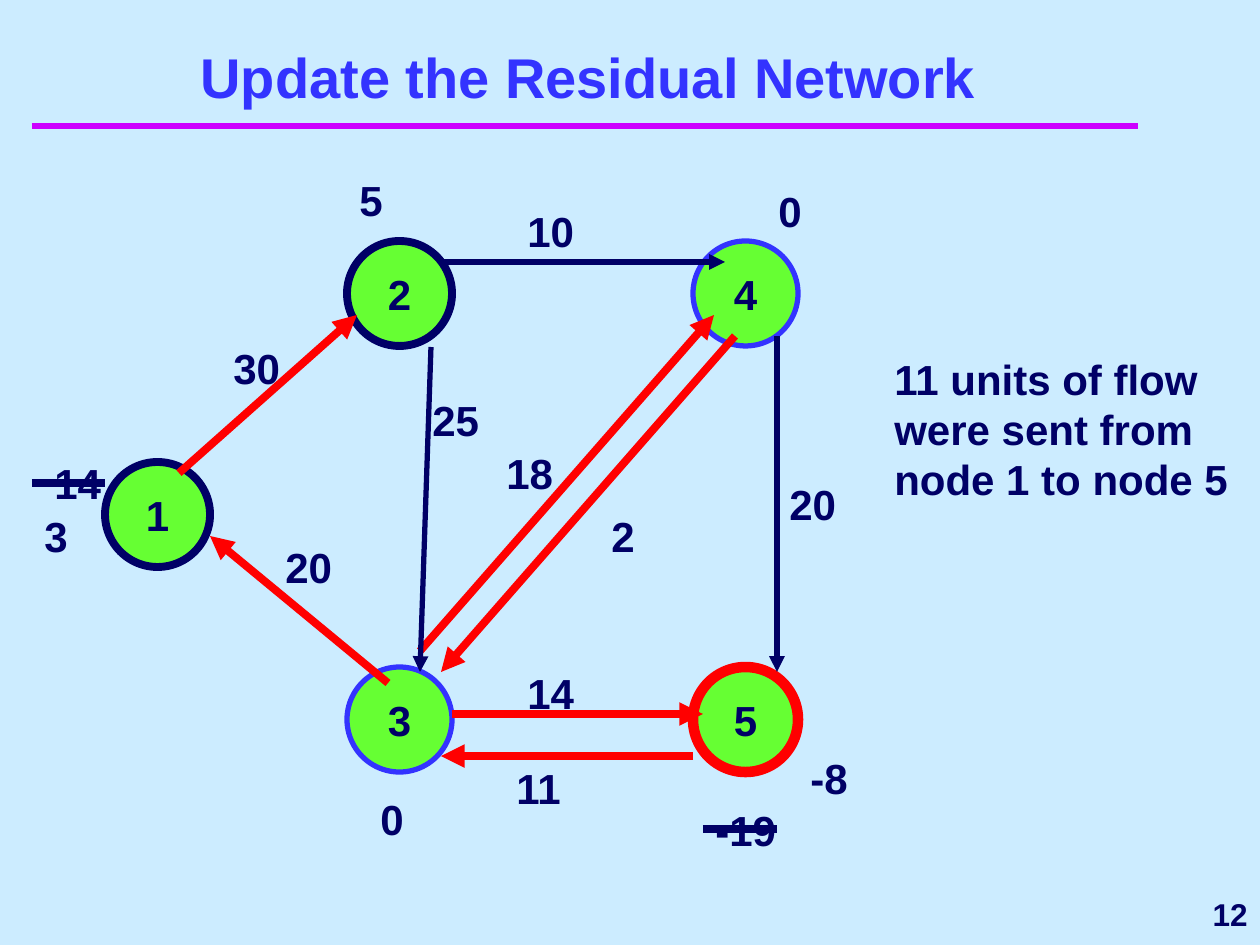
from pptx import Presentation
from pptx.dml.color import RGBColor
from pptx.enum.shapes import MSO_CONNECTOR, MSO_SHAPE
from pptx.enum.text import MSO_ANCHOR as Anchor, MSO_AUTO_SIZE as AutoSize, PP_ALIGN as Align
from pptx.oxml.ns import qn
from pptx.util import Emu, Inches, Pt
from lxml.etree import SubElement

SKY = RGBColor(0xCC, 0xEC, 0xFF)
MAGENTA = RGBColor(0xCC, 0x00, 0xFF)
BLUE = RGBColor(0x33, 0x33, 0xFF)
NAVY = RGBColor(0x00, 0x00, 0x66)
GREEN = RGBColor(0x66, 0xFF, 0x33)
RED = RGBColor(0xFF, 0x00, 0x00)

FONT = "Arial"
NODE_SIZE = 105
LABEL_HEIGHT = 63
EDGE_LABEL_WIDTH = 147
SUPPLY_WIDTH = 94

NODES = [
    ("1", 105, 462, NAVY, 4.5),
    ("2", 347, 241, NAVY, 4.5),
    ("3", 347, 667, BLUE, 3),
    ("5", 693, 667, RED, 6),
    ("4", 693, 241, BLUE, 3),
]
ARROWS = [
    ((179, 473), (357, 315), RED, 4.5),
    ((441, 262), (725, 262), NAVY, 3),
    ((777, 336), (777, 672), NAVY, 3),
    ((420, 651), (714, 315), RED, 4.5),
    ((452, 714), (703, 714), RED, 4.5),
    ((431, 347), (420, 672), NAVY, 3),
    ((388, 683), (210, 536), RED, 4.5),
    ((735, 336), (441, 672), RED, 4.5),
    ((693, 756), (441, 756), RED, 4.5),
]
EDGE_LABELS = [
    ("10", 515, 199),
    ("20", 777, 472),
    ("18", 494, 441),
    ("14", 515, 661),
    ("25", 420, 388),
    ("30", 221, 336),
    ("20", 273, 535),
    ("2", 599, 504),
    ("11", 504, 756),
]
SUPPLIES = [
    ("5", 347, 168),
    ("-19", 703, 798),
    ("0", 368, 787),
    ("14", 42, 451),
    ("0", 766, 179),
    ("3", 32, 504),
    ("-8", 798, 746),
]
STRIKES = [((32, 483), (105, 483)), ((703, 829), (777, 829))]


def px(length):
    return Emu(round(length * 914400 / 126))


def write(shape, text, size, color, align, anchor):
    frame = shape.text_frame
    frame.vertical_anchor = anchor
    paragraph = frame.paragraphs[0]
    paragraph.alignment = align
    run = paragraph.add_run()
    run.text = text
    run.font.name = FONT
    run.font.size = Pt(size)
    run.font.bold = True
    run.font.color.rgb = color


def add_text(slide, text, left, top, width, height, size=24, color=NAVY,
             align=Align.LEFT, anchor=Anchor.TOP, auto_size=AutoSize.SHAPE_TO_FIT_TEXT):
    box = slide.shapes.add_textbox(px(left), px(top), px(width), px(height))
    box.text_frame.word_wrap = True
    box.text_frame.auto_size = auto_size
    write(box, text, size, color, align, anchor)


def add_node(slide, name, left, top, outline, weight):
    node = slide.shapes.add_shape(
        MSO_SHAPE.OVAL, px(left), px(top), px(NODE_SIZE), px(NODE_SIZE))
    node.shadow.inherit = False
    node.fill.solid()
    node.fill.fore_color.rgb = GREEN
    node.line.color.rgb = outline
    node.line.width = Pt(weight)
    node.text_frame.word_wrap = False
    write(node, name, 24, NAVY, Align.CENTER, Anchor.MIDDLE)


def add_line(slide, start, end, color, weight, arrow=False):
    line = slide.shapes.add_connector(
        MSO_CONNECTOR.STRAIGHT, *map(px, start), *map(px, end))
    line.line.color.rgb = color
    line.line.width = Pt(weight)
    properties = line._element.spPr
    if arrow:
        SubElement(properties.find(qn("a:ln")), qn("a:tailEnd"), type="triangle")
    SubElement(properties, qn("a:effectLst"))


def main():
    presentation = Presentation()
    presentation.slide_width = Inches(10)
    presentation.slide_height = Inches(7.5)
    slide = presentation.slides.add_slide(presentation.slide_layouts[6])
    slide.background.fill.solid()
    slide.background.fill.fore_color.rgb = SKY

    add_line(slide, (32, 126), (1138, 126), MAGENTA, 4)
    add_text(slide, "Update the Residual Network", 53, 63, 1071, 53, 32, BLUE,
             Align.CENTER, Anchor.BOTTOM, AutoSize.NONE)
    for node in NODES:
        add_node(slide, *node)
    for arrow in ARROWS:
        add_line(slide, *arrow, arrow=True)
    for label in EDGE_LABELS:
        add_text(slide, *label, EDGE_LABEL_WIDTH, LABEL_HEIGHT)
    for supply in SUPPLIES:
        add_text(slide, *supply, SUPPLY_WIDTH, LABEL_HEIGHT)
    for start, end in STRIKES:
        add_line(slide, start, end, NAVY, 4.5)
    add_text(slide, "11 units of flow were sent from node 1 to node 5",
             882, 347, 378, 164)
    add_text(slide, "12", 1018, 882, 242, 63, 18, NAVY,
             Align.RIGHT, Anchor.MIDDLE, AutoSize.NONE)
    presentation.save("out.pptx")


if __name__ == "__main__":
    main()
